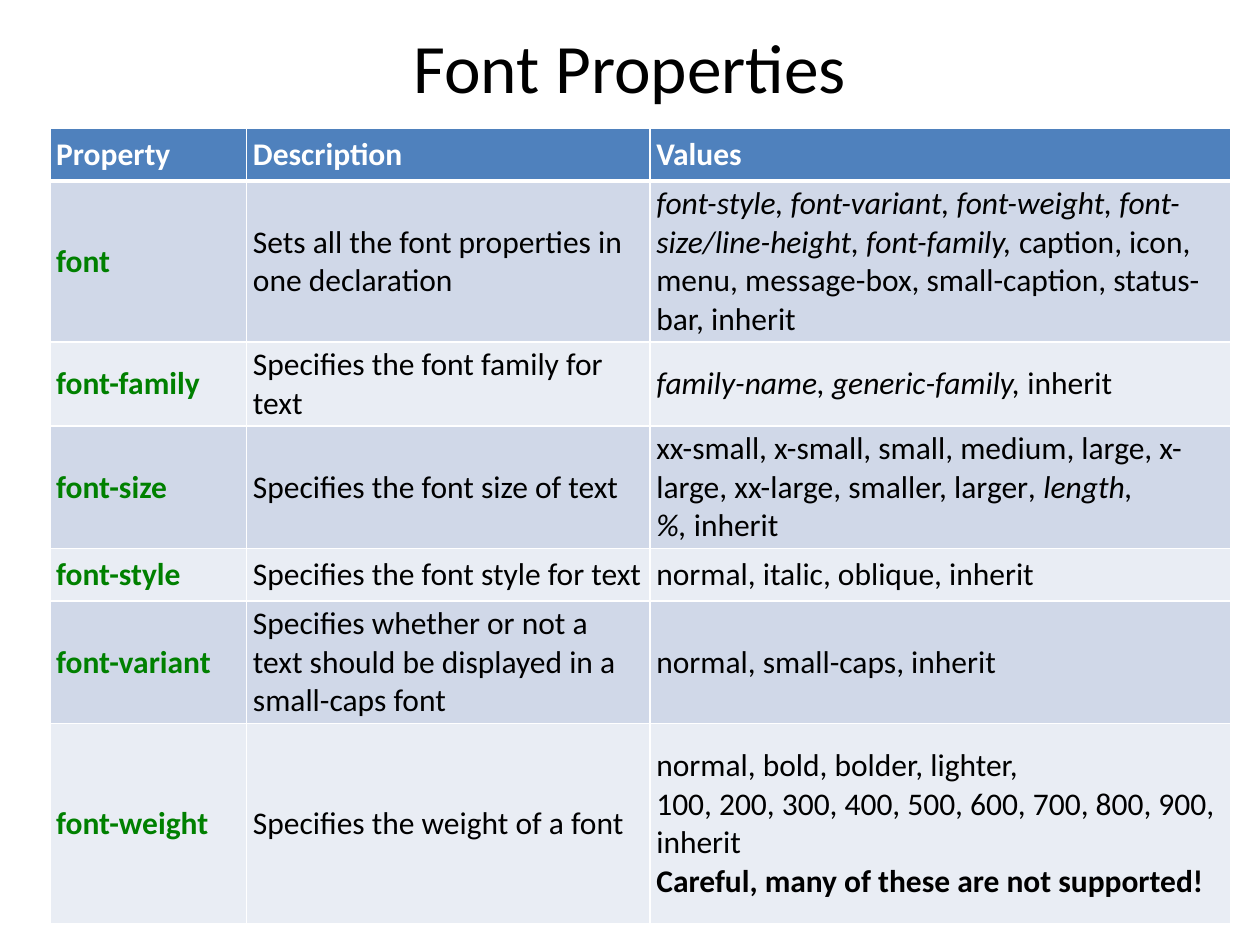
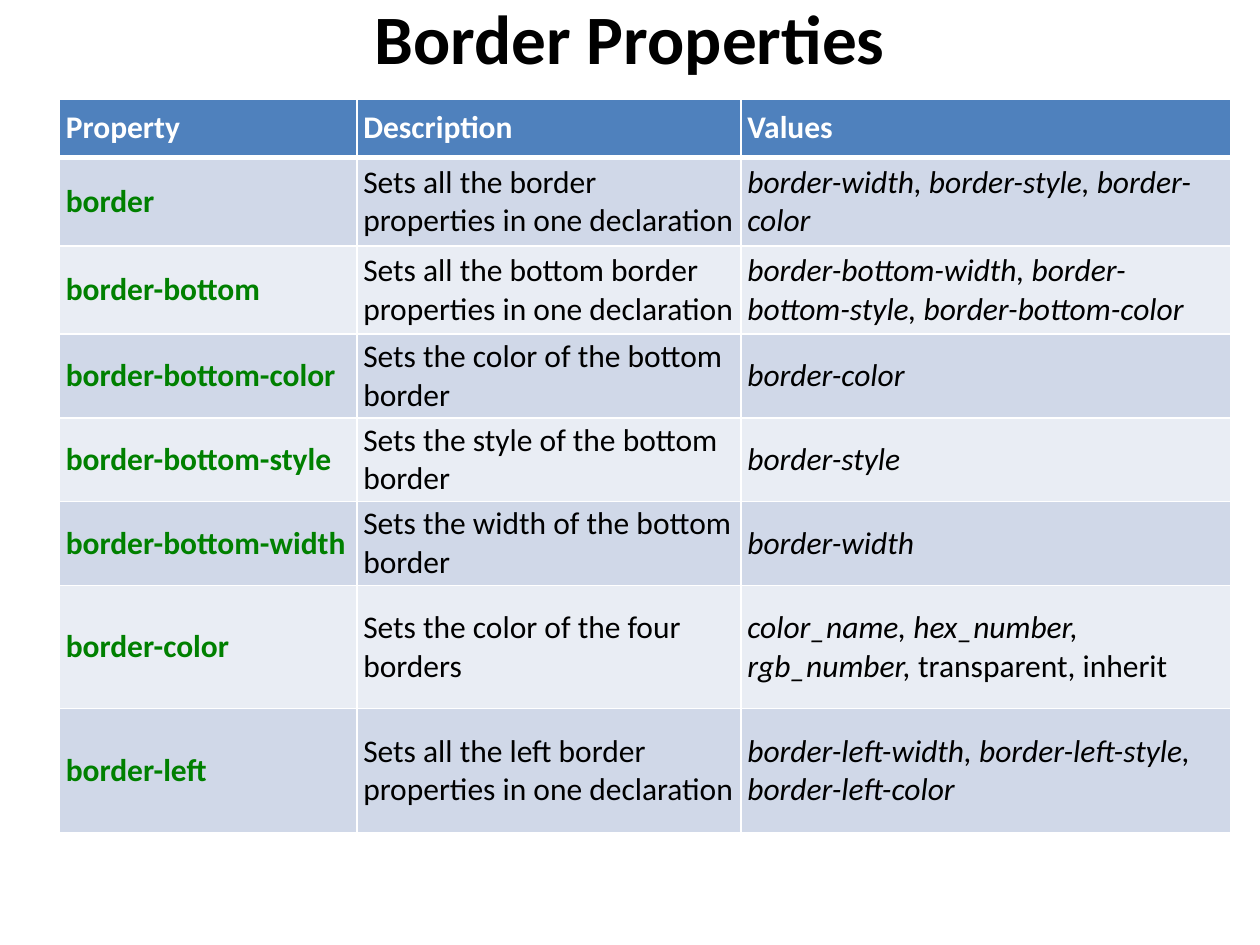
"""Build two reference slides that list CSS font and border properties."""
from dataclasses import dataclass

import pptx
import pptx.dml.color
import pptx.enum.text
import pptx.oxml
import pptx.oxml.ns
import pptx.presentation
import pptx.table
import pptx.util

Pt = pptx.util.Pt


@dataclass(frozen=True)
class Theme:
    font: str = "Calibri"
    title_size: float = 39.6
    table_size: float = 18
    ink: str = "000000"
    property_name: str = "008000"
    header_text: str = "FFFFFF"
    header_fill: str = "4F81BD"
    band_fills: tuple[str, str] = ("D0D8E8", "E9EDF4")
    border: str = "FFFFFF"
    border_width: float = 1
    header_rule_width: float = 3
    side_inset: float = 3.6
    edge_inset: float = 1.8


@dataclass(frozen=True)
class Span:
    text: str
    bold: bool = False
    italic: bool = False


@dataclass(frozen=True)
class Property:
    name: str
    description: str
    values: tuple[Span, ...]
    height: float


@dataclass(frozen=True)
class PropertySlide:
    title: str
    title_bold: bool
    title_top: float
    title_height: float
    left: float
    top: float
    columns: tuple[float, float, float]
    header_height: float
    properties: tuple[Property, ...]


THEME = Theme()
HEADINGS = ("Property", "Description", "Values")


def plain(text: str) -> Span:
    """Return upright text."""
    return Span(text)


def italic(text: str) -> Span:
    """Return italic text."""
    return Span(text, italic=True)


def bold(text: str) -> Span:
    """Return bold text."""
    return Span(text, bold=True)


FONT_SLIDE = PropertySlide(
    "Font Properties", False, 11.5, 52, 28.5, 73.5, (112.5, 230.5, 332), 30,
    (
        Property("font", "Sets all the font properties in one declaration", (
            italic("font-style, font-variant, font-weight, "
                   "font-size/line-height, font-family,\u00a0"),
            plain("caption, icon, menu, message-box, small-caption, "
                  "status-bar, inherit")), 92),
        Property("font-family", "Specifies the font family for text", (
            italic("family-name, generic-family,\u00a0"),
            plain("inherit")), 48),
        Property("font-size", "Specifies the font size of text", (
            plain("xx-small, x-small, small, medium, large, x-large, "
                  "xx-large, smaller, larger"),
            italic(", length, %,\u00a0"),
            plain("inherit")), 70),
        Property("font-style", "Specifies the font style for text", (
            plain("normal, italic, oblique, inherit"),), 30),
        Property("font-variant",
                 "Specifies whether or not a text should be displayed "
                 "in a small-caps font",
                 (plain("normal, small-caps, inherit"),), 70),
        Property("font-weight", "Specifies the weight of a font", (
            plain("normal, bold, bolder, lighter,\v100, 200, 300, 400, 500, "
                  "600, 700, 800, 900, inherit\v"),
            bold("Careful, many of these are not supported!")), 114.5),
    ),
)

BORDER_SLIDE = PropertySlide(
    "Border Properties", True, 1, 40, 34, 56.5, (170, 219.5, 280), 33.5,
    (
        Property("border", "Sets all the border properties in one declaration",
                 (italic("border-width, border-style, border-color"),), 50.5),
        Property("border-bottom",
                 "Sets all the bottom border properties in one declaration",
                 (italic("border-bottom-width, border-bottom-style, "
                         "border-bottom-color"),), 50.5),
        Property("border-bottom-color", "Sets the color of the bottom border",
                 (italic("border-color"),), 48),
        Property("border-bottom-style", "Sets the style of the bottom border",
                 (italic("border-style"),), 42),
        Property("border-bottom-width", "Sets the width of the bottom border",
                 (italic("border-width"),), 48),
        Property("border-color", "Sets the color of the four borders", (
            italic("color_name, hex_number, rgb_number,\u00a0"),
            plain("transparent, inherit")), 70.5),
        Property("border-left",
                 "Sets all the left border properties in one declaration",
                 (italic("border-left-width, border-left-style, "
                         "border-left-color"),), 71),
    ),
)


def format_run(run, span: Span, size: float, color: str) -> None:
    """Apply the theme font and the emphasis of a span."""
    run.font.name = THEME.font
    run.font.size = Pt(size)
    run.font.bold = span.bold
    run.font.italic = span.italic
    run.font.color.rgb = pptx.dml.color.RGBColor.from_string(color)


def set_borders(cell: pptx.table._Cell, top: float, bottom: float) -> None:
    """Draw all four borders of a cell."""
    properties = cell._tc.get_or_add_tcPr()
    side = THEME.border_width
    for edge, width in (("L", side), ("R", side), ("T", top), ("B", bottom)):
        properties.append(pptx.oxml.parse_xml(
            f'<a:ln{edge} {pptx.oxml.ns.nsdecls("a")} w="{int(Pt(width))}">'
            f'<a:solidFill><a:srgbClr val="{THEME.border}"/></a:solidFill>'
            f'</a:ln{edge}>'))


def fill_cell(cell: pptx.table._Cell, spans: tuple[Span, ...],
              color: str, fill: str) -> None:
    """Write the spans into a cell and colour its background."""
    cell.margin_left = cell.margin_right = Pt(THEME.side_inset)
    cell.margin_top = cell.margin_bottom = Pt(THEME.edge_inset)
    cell.vertical_anchor = pptx.enum.text.MSO_ANCHOR.MIDDLE
    cell.fill.solid()
    cell.fill.fore_color.rgb = pptx.dml.color.RGBColor.from_string(fill)
    first, *others = spans
    paragraph = cell.text_frame.paragraphs[0]
    paragraph.text = first.text
    for run in paragraph.runs:
        format_run(run, first, THEME.table_size, color)
    for span in others:
        run = paragraph.add_run()
        run.text = span.text
        format_run(run, span, THEME.table_size, color)


def draw_title(slide, content: PropertySlide) -> None:
    """Place and format the title placeholder."""
    title = slide.shapes.title
    title.left, title.top = Pt(36), Pt(content.title_top)
    title.width, title.height = Pt(648), Pt(content.title_height)
    frame = title.text_frame
    frame.text = content.title
    frame.auto_size = pptx.enum.text.MSO_AUTO_SIZE.NONE
    frame.vertical_anchor = pptx.enum.text.MSO_ANCHOR.MIDDLE
    paragraph = frame.paragraphs[0]
    paragraph.alignment = pptx.enum.text.PP_ALIGN.CENTER
    format_run(paragraph.runs[0], Span(content.title, bold=content.title_bold),
               THEME.title_size, THEME.ink)


def draw_table(slide, content: PropertySlide) -> None:
    """Draw the header row and one banded row for each property."""
    heights = [content.header_height, *(p.height for p in content.properties)]
    table = slide.shapes.add_table(
        len(heights), len(content.columns), Pt(content.left), Pt(content.top),
        Pt(sum(content.columns)), Pt(sum(heights))).table
    for column, width in zip(table.columns, content.columns):
        column.width = Pt(width)
    for row, height in zip(table.rows, heights):
        row.height = Pt(height)

    thin, thick = THEME.border_width, THEME.header_rule_width
    for cell, heading in zip(table.rows[0].cells, HEADINGS):
        set_borders(cell, thin, thick)
        fill_cell(cell, (bold(heading),), THEME.header_text, THEME.header_fill)
    for index, entry in enumerate(content.properties):
        fill = THEME.band_fills[index % 2]
        columns = (((bold(entry.name),), THEME.property_name),
                   ((plain(entry.description),), THEME.ink),
                   (entry.values, THEME.ink))
        for cell, (spans, color) in zip(table.rows[index + 1].cells, columns):
            set_borders(cell, thin if index else thick, thin)
            fill_cell(cell, spans, color, fill)


def add_property_slide(deck: pptx.presentation.Presentation,
                       content: PropertySlide) -> None:
    """Add one slide with a title and a property table."""
    slide = deck.slides.add_slide(deck.slide_layouts.get_by_name("Title Only"))
    draw_title(slide, content)
    draw_table(slide, content)


def main() -> None:
    """Build and save the deck."""
    deck = pptx.Presentation()
    deck.slide_width, deck.slide_height = Pt(720), Pt(540)
    for content in (FONT_SLIDE, BORDER_SLIDE):
        add_property_slide(deck, content)
    deck.save("out.pptx")


main()
